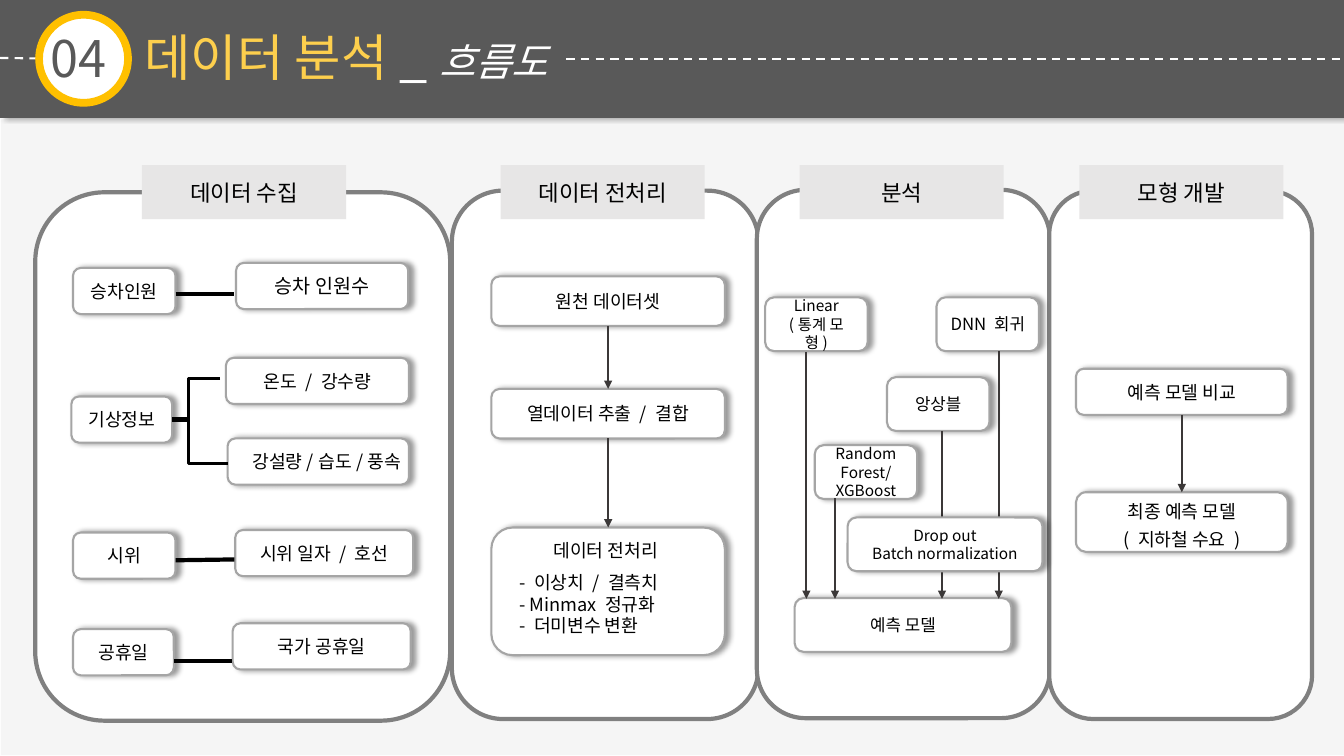
from dataclasses import dataclass
from typing import NamedTuple

from lxml.etree import SubElement
from pptx import Presentation
from pptx.dml.color import RGBColor
from pptx.enum.dml import MSO_LINE
from pptx.enum.shapes import MSO_CONNECTOR, MSO_SHAPE
from pptx.enum.text import MSO_ANCHOR, PP_ALIGN
from pptx.oxml.ns import qn
from pptx.shapes.autoshape import Shape
from pptx.shapes.connector import Connector
from pptx.slide import Slide
from pptx.text.text import _Paragraph as Paragraph
from pptx.util import Inches, Pt

COLUMNS, ROWS = 160, 90
SLIDE_WIDTH, SLIDE_HEIGHT = Inches(13.333), Inches(7.5)
FONT = "Noto Sans CJK KR"

BLACK = RGBColor(0x00, 0x00, 0x00)
WHITE = RGBColor(0xFF, 0xFF, 0xFF)
PAPER = RGBColor(0xF5, 0xF5, 0xF5)
HEADER_GRAY = RGBColor(0x59, 0x59, 0x59)
PANEL_LINE = RGBColor(0x80, 0x80, 0x80)
LABEL_FILL = RGBColor(0xE7, 0xE6, 0xE6)
CARD_LINE = RGBColor(0xA5, 0xA5, 0xA5)
ARROW = RGBColor(0x3B, 0x38, 0x38)
RING = RGBColor(0xFF, 0xC0, 0x00)
TITLE_YELLOW = RGBColor(0xFD, 0xCF, 0x4D)


class Box(NamedTuple):
    left: float
    top: float
    width: float
    height: float


class Point(NamedTuple):
    column: float
    row: float


class Joint(NamedTuple):
    card: str
    site: int


@dataclass
class Panel:
    title: str
    box: Box
    label_left: float


@dataclass
class Card:
    lines: list[str]
    box: Box
    size: float = 13
    spacing: float = 1.0
    insets: Box = Box(1.2, 0.6, 1.2, 0.6)
    bullets: tuple[str, ...] = ()


@dataclass
class Link:
    start: Point | Joint
    end: Point | Joint
    color: RGBColor = ARROW
    width: float = 1.5
    arrow: bool = True
    dashed: bool = False


PANELS = [
    Panel("데이터 수집", Box(4.2, 22.9, 49.4, 62.9), 16.9),
    Panel("데이터 전처리", Box(53.8, 22.7, 36.5, 62.9), 59.6),
    Panel("분석", Box(90.1, 22.6, 34.9, 62.9), 95.2),
    Panel("모형 개발", Box(124.9, 22.7, 31.3, 62.9), 128.5),
]

CARDS = [
    Card(["승차인원"], Box(8.7, 31.9, 12.2, 5.5)),
    Card(["기상정보"], Box(8.5, 47.2, 12, 5.5)),
    Card(["시위"], Box(8.7, 63.4, 12.2, 5.5)),
    Card(["공휴일"], Box(8.7, 74.9, 12, 5.5)),
    Card(["승차 인원수"], Box(28.1, 31.3, 20.5, 5.5), 14),
    Card(["온도 / 강수량"], Box(26.9, 42.6, 21.8, 5.5)),
    Card(["강설량/습도/풍속"], Box(27.1, 52.2, 21.6, 5.5), insets=Box(2, 0.6, 0, 0.6)),
    Card(["시위 일자 / 호선"], Box(28, 63.1, 21.2, 5.5)),
    Card(["국가 공휴일"], Box(27.7, 74.2, 21.2, 5.5)),
    Card(["원천 데이터셋"], Box(58.5, 32.9, 27.8, 5.9)),
    Card(["열데이터 추출 / 결합"], Box(58.5, 46.3, 27.8, 5.9)),
    Card(["데이터 전처리"], Box(58.5, 62.8, 27.8, 15.2), insets=Box(2.6, 0.6, 3.2, 1.4),
         bullets=("- 이상치 / 결측치", "- Minmax 정규화", "- 더미변수 변환")),
    Card(["Linear", "(통계 모형)"], Box(91.1, 35.4, 12.2, 6.4), 11),
    Card(["DNN 회귀"], Box(111.5, 35.4, 12.2, 6.4), 12),
    Card(["앙상블"], Box(105.6, 44.9, 12.2, 6.4), 12),
    Card(["Random Forest/", "XGBoost"], Box(97, 53, 12.2, 6.4), 11),
    Card(["예측 모델"], Box(94.6, 71.2, 25.8, 6.4), 12),
    Card(["예측 모델 비교"], Box(128.1, 43.9, 25.2, 5.5)),
    Card(["최종 예측 모델", "( 지하철 수요 )"], Box(128.1, 58.6, 25.2, 7.1), spacing=1.3),
]
NORMALIZATION = Card(["Drop out", "Batch normalization"], Box(100.9, 61.6, 23.2, 6.4), 11)

FLOW_LINKS = [
    Link(Joint("원천 데이터셋", 2), Joint("열데이터 추출 / 결합", 0)),
    Link(Joint("열데이터 추출 / 결합", 2), Joint("데이터 전처리", 0)),
    Link(Joint("예측 모델 비교", 2), Joint("최종 예측 모델", 0)),
    Link(Joint("기상정보", 3), Point(22.5, 49.95), BLACK, 3, False),
    Link(Point(20.9, 35), Point(27.8, 35), BLACK, 3, False),
    Link(Point(20.9, 66.7), Point(27.9, 66.6), BLACK, 3, False),
    Link(Point(20.7, 78.7), Point(27.6, 78.7), BLACK, 3, False),
]
MODEL_LINKS = [
    Link(Point(column, top), Point(column, 71.3))
    for column, top in ((96, 41.9), (99.4, 59.3), (112.15, 51.3), (118.9, 41.8))
]
WEATHER_BRACKET = [Point(26.2, 45.1), Point(22.4, 45.1), Point(22.4, 55.2), Point(27.1, 55.2)]


def across(columns: float) -> int:
    return round(SLIDE_WIDTH * columns / COLUMNS)


def down(rows: float) -> int:
    return round(SLIDE_HEIGHT * rows / ROWS)


def place(box: Box) -> tuple[int, int, int, int]:
    return across(box.left), down(box.top), across(box.width), down(box.height)


def add_block(slide: Slide, kind: MSO_SHAPE, box: Box, fill: RGBColor, *,
              line: RGBColor | None = None, width: float = 1.5, shadow: bool = False) -> Shape:
    shape = slide.shapes.add_shape(kind, *place(box))
    shape.shadow.inherit = False
    shape.fill.solid()
    shape.fill.fore_color.rgb = fill
    if line is None:
        shape.line.fill.background()
    else:
        shape.line.color.rgb = line
        shape.line.width = Pt(width)
    if shadow:
        effects = shape._element.spPr.find(qn("a:effectLst"))
        outer = SubElement(effects, qn("a:outerShdw"), blurRad=str(Pt(4)), dist=str(Pt(3)),
                           dir="0", algn="l", rotWithShape="0")
        color = SubElement(outer, qn("a:srgbClr"), val="000000")
        SubElement(color, qn("a:alpha"), val="40000")
    return shape


def add_text(paragraph: Paragraph, text: str, *, size: float, color: RGBColor = BLACK,
             italic: bool = False, align: PP_ALIGN = PP_ALIGN.LEFT, spacing: float = 1.0) -> None:
    paragraph.alignment = align
    paragraph.line_spacing = spacing
    run = paragraph.add_run()
    run.text = text
    run.font.size = Pt(size)
    run.font.italic = italic
    run.font.color.rgb = color
    run.font.name = FONT
    SubElement(run.font._element, qn("a:ea"), typeface=FONT)


def add_card(slide: Slide, card: Card) -> Shape:
    shape = add_block(slide, MSO_SHAPE.ROUNDED_RECTANGLE, card.box, WHITE,
                      line=CARD_LINE, shadow=True)
    frame = shape.text_frame
    frame.word_wrap = True
    frame.vertical_anchor = MSO_ANCHOR.MIDDLE
    left, top, right, bottom = card.insets
    frame.margin_left, frame.margin_right = across(left), across(right)
    frame.margin_top, frame.margin_bottom = down(top), down(bottom)
    for index, text in enumerate([*card.lines, *card.bullets]):
        paragraph = frame.add_paragraph() if index else frame.paragraphs[0]
        is_bullet = index >= len(card.lines)
        add_text(paragraph, text, size=card.size, spacing=card.spacing,
                 align=PP_ALIGN.LEFT if is_bullet else PP_ALIGN.CENTER)
        if is_bullet and index == len(card.lines):
            paragraph.space_before = Pt(7)
    return shape


def add_panel(slide: Slide, panel: Panel) -> None:
    add_block(slide, MSO_SHAPE.ROUNDED_RECTANGLE, panel.box, WHITE, line=PANEL_LINE, width=3)


def add_label(slide: Slide, panel: Panel) -> None:
    label = add_block(slide, MSO_SHAPE.RECTANGLE, Box(panel.label_left, 19.65, 24.3, 6.45), LABEL_FILL)
    label.text_frame.vertical_anchor = MSO_ANCHOR.MIDDLE
    add_text(label.text_frame.paragraphs[0], panel.title, size=16, align=PP_ALIGN.CENTER)


def add_link(slide: Slide, link: Link, cards: dict[str, Shape]) -> Connector:
    ends = [Point(0, 0) if isinstance(end, Joint) else end for end in (link.start, link.end)]
    corners = [length for end in ends for length in (across(end.column), down(end.row))]
    connector = slide.shapes.add_connector(MSO_CONNECTOR.STRAIGHT, *corners)
    if isinstance(link.start, Joint):
        connector.begin_connect(cards[link.start.card], link.start.site)
    if isinstance(link.end, Joint):
        connector.end_connect(cards[link.end.card], link.end.site)
    connector.line.color.rgb = link.color
    connector.line.width = Pt(link.width)
    if link.dashed:
        connector.line.dash_style = MSO_LINE.DASH
    if link.arrow:
        SubElement(connector.line._get_or_add_ln(), qn("a:tailEnd"), type="triangle")
    SubElement(connector._element.spPr, qn("a:effectLst"))
    return connector


def add_bracket(slide: Slide, points: list[Point]) -> None:
    first, *rest = [(across(point.column), down(point.row)) for point in points]
    builder = slide.shapes.build_freeform(*first)
    builder.add_line_segments(rest, close=False)
    bracket = builder.convert_to_shape()
    bracket.shadow.inherit = False
    bracket.fill.background()
    bracket.line.color.rgb = BLACK
    bracket.line.width = Pt(2.25)


def add_header(slide: Slide) -> None:
    add_block(slide, MSO_SHAPE.RECTANGLE, Box(0, 0, COLUMNS, 14.05), HEADER_GRAY, shadow=True)
    for start, end in ((Point(0, 6.9), Point(15.7, 7.1)), (Point(67.4, 7.05), Point(COLUMNS, 7.05))):
        add_link(slide, Link(start, end, WHITE, arrow=False, dashed=True), {})
    add_block(slide, MSO_SHAPE.OVAL, Box(4.6, 1.7, 10.7, 10.4), WHITE)
    ring = add_block(slide, MSO_SHAPE.DONUT, Box(4.2, 1.3, 11.5, 11.4), RING)
    ring.adjustments[0] = 0.08
    number = slide.shapes.add_textbox(*place(Box(4.8, 2.65, 10.3, 8.5)))
    add_text(number.text_frame.paragraphs[0], "04", size=36, color=HEADER_GRAY)
    title = slide.shapes.add_textbox(*place(Box(16, 2.5, 75.5, 8.5)))
    title.text_frame.word_wrap = True
    paragraph = title.text_frame.paragraphs[0]
    add_text(paragraph, "데이터 분석", size=36, color=TITLE_YELLOW)
    add_text(paragraph, "_", size=36, color=WHITE)
    add_text(paragraph, "흐름도", size=28, color=WHITE, italic=True)


def main() -> None:
    presentation = Presentation()
    presentation.slide_width, presentation.slide_height = SLIDE_WIDTH, SLIDE_HEIGHT
    slide = presentation.slides.add_slide(presentation.slide_layouts[6])
    add_block(slide, MSO_SHAPE.RECTANGLE, Box(0.1, 14.2, 159.9, 75.7), PAPER)
    for panel in PANELS:
        add_panel(slide, panel)
    for panel in PANELS:
        add_label(slide, panel)
    cards = {card.lines[0]: add_card(slide, card) for card in CARDS}
    for link in FLOW_LINKS + MODEL_LINKS:
        add_link(slide, link, cards)
    add_bracket(slide, WEATHER_BRACKET)
    add_card(slide, NORMALIZATION)
    add_header(slide)
    presentation.save("out.pptx")


if __name__ == "__main__":
    main()
